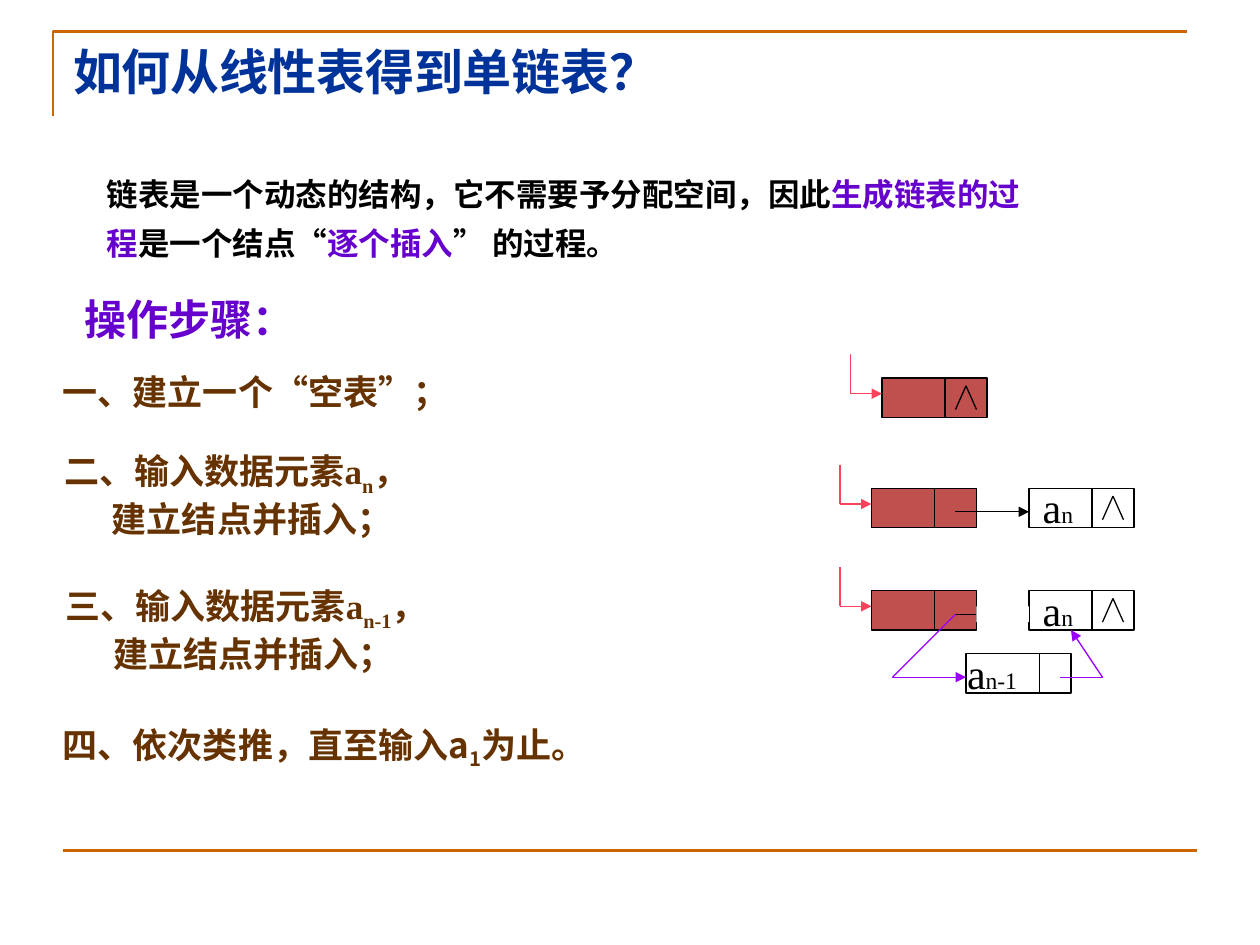
from pptx import Presentation
from pptx.dml.color import RGBColor
from pptx.enum.shapes import MSO_CONNECTOR, MSO_SHAPE
from pptx.enum.text import MSO_ANCHOR
from pptx.oxml.ns import qn
from pptx.util import Inches, Pt
from lxml import etree

LINE = MSO_CONNECTOR.STRAIGHT
RECT = MSO_SHAPE.RECTANGLE
TOP = MSO_ANCHOR.TOP

THEME = {
    "hans": "Noto Sans CJK SC", "serif": "Times New Roman",
    "rule": "CC6600", "title": "003399", "ink": "000000", "key": "6600CC",
    "step": "663300", "head": "C0504D", "entry": "FB415C", "link": "9900FF",
    "paper": "FFFFFF",
    "size": {"title": 28, "lead": 18, "label": 24, "step": 20, "node": 24, "sub": 13.5},
    "thin": 0.75, "thick": 1.5,
}
SIZE = THEME["size"]
WIDE, HIGH = 10, 7.5
COL, ROW = 1 / 12, 1 / 16
BOX = (10, 5)


def run(text, font="hans", color="step", size="step", bold=True, base=0, space=0):
    return dict(text=text, font=font, color=color, size=size, bold=bold, base=base, space=space)


def lead(text, color="ink", font="hans"):
    return run(text, font, color, "lead")


def step(text, sub):
    return [
        [run(text), run("a", "serif"), run(sub, "serif", base=-25), run("，", "serif")],
        [run("建立结点并插入；", "serif")],
    ]


def node(sub):
    return [[run("a", "serif", "ink", "node", False), run(sub, "serif", "ink", "sub", False)]]


TEXTS = [
    ((0.58, 0.32, 5.92, 0.48), [[run("如何从线性表得到单链表？", color="title", size="title", space=-10)]],
     dict(inset=(0, 0.01))),
    ((0.75, 1.25, 7.58, 0.85), [[
        lead("链表是一个动态的结构，它不需要予分配空间，因此"), lead("生成链表的过程", "key"),
        lead("是一个结点"), lead("“", font="serif"), lead("逐个插入", "key"),
        lead("”", font="serif"), lead(" 的过程。")]], dict(pitch=1.3)),
    ((0.57, 2.28, 1.89, 0.5), [[run("操作步骤：", "serif", "key", "label")]], dict(wrap=False)),
    ((0.4, 2.89, 3.31, 0.44), [[run("一、建立一个“空表”；", "serif")]], dict(wrap=False)),
    ((0.41, 3.52, 5.92, 0.77), step("二、输入数据元素", "n"), dict(indent=0.38)),
    ((0.42, 4.59, 5.92, 0.77), step("三、输入数据元素", "n-1"), dict(indent=0.38)),
    ((0.4, 5.69, 4.39, 0.44), [[run("四、依次类推，直至输入a"), run("1", base=-25), run("为止。")]],
     dict(wrap=False)),
]
RULES = [[(0.42, 0.92), (0.42, 0.25), (9.42, 0.25)], [(0.5, 6.75), (9.5, 6.75)]]
NODES = [
    dict(at=(84, 48), split=6, head=True, end=True),
    dict(at=(83, 62), split=6, head=True),
    dict(at=(98, 62), split=6, end=True, label="n", shift=0.01),
    dict(at=(83, 75), split=6, head=True),
    dict(at=(98, 75), split=6, end=True, label="n", shift=0.01),
    dict(at=(92, 83), split=7, label="n-1", shift=-0.09),
]
LINKS = [
    ("ink", [(91, 65), (98, 65)]),
    ("ink", [(91, 78), (98, 78)]),
    ("link", [(101, 86), (105, 86), (102, 80)]),
    ("link", [(91, 78), (85, 86), (92, 86)]),
]
COVER = (93, 77, 5, 2)

deck = Presentation()
deck.slide_width, deck.slide_height = Inches(WIDE), Inches(HIGH)
slide = deck.slides.add_slide(deck.slide_layouts[6])
shapes = slide.shapes


def tint(name):
    return RGBColor.from_string(THEME[name])


def write(area, paras, inset=(0.1, 0.05), pitch=None, wrap=True, indent=0):
    frame = shapes.add_textbox(*map(Inches, area)).text_frame
    frame.word_wrap, frame.vertical_anchor = wrap, TOP
    frame.margin_left = frame.margin_right = Inches(inset[0])
    frame.margin_top = frame.margin_bottom = Inches(inset[1])
    for i, runs in enumerate(paras):
        para = frame.add_paragraph() if i else frame.paragraphs[0]
        if pitch:
            para.line_spacing = pitch
        if i and indent:
            para._p.get_or_add_pPr().set("marL", str(Inches(indent)))
        for item in runs:
            part = para.add_run()
            part.text = item["text"]
            font = part.font
            font.name, font.bold = THEME[item["font"]], item["bold"]
            font.size, font.color.rgb = Pt(SIZE[item["size"]]), tint(item["color"])
            props = part._r.get_or_add_rPr()
            etree.SubElement(props, qn("a:ea")).set("typeface", THEME["hans"])
            if item["base"]:
                props.set("baseline", str(item["base"] * 1000))
            if item["space"]:
                props.set("spc", str(item["space"]))


def block(col, row, wide, high, fill=None, edge=None):
    box = shapes.add_shape(RECT, Inches(col * COL), Inches(row * ROW),
                           Inches(wide * COL), Inches(high * ROW))
    box.shadow.inherit = False
    if fill:
        box.fill.solid()
        box.fill.fore_color.rgb = tint(fill)
    else:
        box.fill.background()
    if edge:
        box.line.color.rgb, box.line.width = tint(edge), Pt(THEME["thin"])
    else:
        box.line.fill.background()


def trace(points, color, arrow=False):
    spots = [(Inches(x * COL), Inches(y * ROW)) for x, y in points]
    for i, (start, stop) in enumerate(zip(spots, spots[1:]), 2):
        wire = shapes.add_connector(LINE, *start, *stop)
        wire.line.color.rgb, wire.line.width = tint(color), Pt(THEME["thin"])
        if arrow and i == len(spots):
            etree.SubElement(wire.line._get_or_add_ln(), qn("a:tailEnd")).set("type", "triangle")
        etree.SubElement(wire._element.spPr, qn("a:effectLst"))


def draw(at, split, head=False, end=False, label=None, shift=0):
    x, y = at
    block(x, y, *BOX, "head" if head else None, "ink")
    trace([(x + split, y), (x + split, y + BOX[1])], "ink")
    if head:
        trace([(x - 3, y - 3), (x - 3, y + 2), (x, y + 2)], "entry", True)
    if end:
        trace([(x + 7, y + 4), (x + 8, y + 1), (x + 9, y + 4)], "ink")
    if label:
        write((x * COL + shift, y * ROW - 0.1, 0.45 if len(label) == 1 else 0.6, 0.5),
              node(label), wrap=False)


for points in RULES:
    first, *rest = [(Inches(x), Inches(y)) for x, y in points]
    build = shapes.build_freeform(*first)
    build.add_line_segments(rest, close=False)
    rule = build.convert_to_shape()
    rule.shadow.inherit = False
    rule.fill.background()
    rule.line.color.rgb, rule.line.width = tint("rule"), Pt(THEME["thick"])

for area, paras, style in TEXTS:
    write(area, paras, **style)
for item in NODES:
    draw(**item)
for color, points in LINKS:
    trace(points, color, True)
block(*COVER, "paper")

deck.save("out.pptx")
